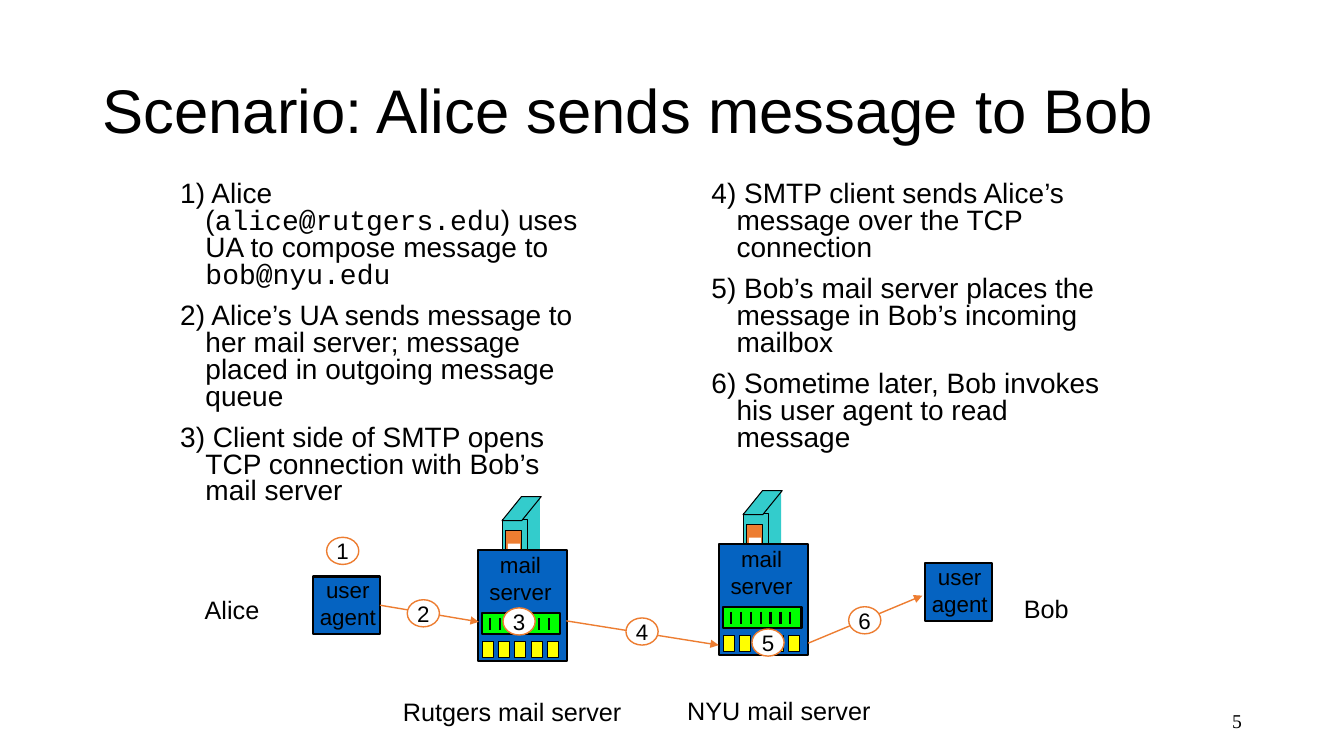
from dataclasses import dataclass

from lxml import etree
from pptx import Presentation
from pptx.dml.color import RGBColor
from pptx.enum.shapes import MSO_CONNECTOR, MSO_SHAPE
from pptx.enum.text import MSO_ANCHOR, MSO_AUTO_SIZE, PP_ALIGN
from pptx.oxml.ns import qn
from pptx.shapes.autoshape import Shape
from pptx.shapes.connector import Connector
from pptx.util import Pt

RECT, OVAL, SLANTED = MSO_SHAPE.RECTANGLE, MSO_SHAPE.OVAL, MSO_SHAPE.PARALLELOGRAM
STRAIGHT = MSO_CONNECTOR.STRAIGHT
LEFT, CENTER, RIGHT = PP_ALIGN.LEFT, PP_ALIGN.CENTER, PP_ALIGN.RIGHT
TOP, MIDDLE = MSO_ANCHOR.TOP, MSO_ANCHOR.MIDDLE
GROW = MSO_AUTO_SIZE.SHAPE_TO_FIT_TEXT

BLACK = RGBColor(0x00, 0x00, 0x00)
WHITE = RGBColor(0xFF, 0xFF, 0xFF)
BLUE = RGBColor(0x05, 0x63, 0xC1)
TEAL = RGBColor(0x33, 0xCC, 0xCC)
ORANGE = RGBColor(0xED, 0x7D, 0x31)
GREEN = RGBColor(0x00, 0xFF, 0x00)
YELLOW = RGBColor(0xFF, 0xFF, 0x00)

SANS, MONO, SERIF = "Arial", "Courier New", "Times New Roman"
STEP_FORMAT = {"line_spacing": 0.8}
HANGING = {"marL": Pt(18), "indent": Pt(-18)}


@dataclass
class Box:
    x: float
    y: float
    w: float
    h: float

    def lengths(self) -> tuple:
        return Pt(self.x), Pt(self.y), Pt(self.w), Pt(self.h)


@dataclass
class Part:
    """A filled piece of a mail server, placed from the server's corner."""
    box: Box
    fill: RGBColor
    line: float = 0
    kind: int = RECT


@dataclass
class Label:
    text: str
    box: Box
    align: int = LEFT
    size: float = 18
    font: str = SANS
    anchor: int = TOP


TOWER = [
    Part(Box(31.5, -38.4, 13, 56), TEAL),
    Part(Box(17.4, -22.2, 18, 56), TEAL, 0.75),
    Part(Box(17.4, -38.4, 28, 17.2), TEAL, 0.75, SLANTED),
    Part(Box(19.6, -14.4, 11.5, 32.4), ORANGE, 0.75),
    Part(Box(21.6, -4.8, 8.6, 11.5), WHITE),
    Part(Box(0, 0, 64, 79.2), BLUE, 1.5),
]
QUEUE = Part(Box(2.9, 44.6, 56.2, 15), GREEN, 1.5)
MAILBOXES = [Part(Box(3.6 + 11.5 * i, 65.4, 7.9, 11.5), YELLOW, 0.75) for i in range(5)]

SERVERS = [(341.2, 393.1), (513.4, 388.8)]
AGENTS = [(223.9, 411.8), (661, 402.5)]
ARROWS = [
    (272.2, 432.7, 342, 444.2),
    (404.6, 443.5, 513.4, 460.8),
    (577.4, 459.4, 658.8, 425.5),
]
MARKERS = [(233.3, 383.8), (290.9, 428.4), (359.3, 434.2),
           (447.1, 441.4), (537.1, 449.3), (606.2, 433.4)]

LABELS = [
    Label("Alice", Box(38.9, 421.2, 153.4, 28.8), RIGHT),
    Label("Bob", Box(724.3, 420.5, 153.4, 28.8)),
    Label("Rutgers mail server", Box(280.8, 493.9, 172.8, 28.8)),
    Label("NYU mail server", Box(483.8, 493.2, 172.8, 28.8)),
    Label("5", Box(678.2, 500.4, 216, 28.8), RIGHT, 14, SERIF, MIDDLE),
]

# Each step is a list of (text, font) runs.
COLUMNS = [
    (Box(121.7, 126.7, 300.2, 253.4), [
        [("1) Alice (", SANS), ("alice@rutgers.edu", MONO),
         (") uses UA to compose message to ", SANS), ("bob@nyu.edu", MONO)],
        [("2) Alice’s UA sends message to her mail server; message placed in "
          "outgoing message queue", SANS)],
        [("3) Client side of SMTP opens TCP connection with Bob’s mail server", SANS)],
    ]),
    (Box(501.1, 126.7, 300.2, 209.5), [
        [("4) SMTP client sends Alice’s message over the TCP connection", SANS)],
        [("5) Bob’s mail server places the message in Bob’s incoming mailbox", SANS)],
        [("6) Sometime later, Bob invokes his user agent to read message", SANS)],
    ]),
]


def add_run(p, text: str, size: float, font: str = SANS) -> None:
    r = p.add_run()
    r.text = text
    for name, value in {"size": Pt(size), "name": font}.items():
        setattr(r.font, name, value)
    r.font.color.rgb = BLACK


def fill_text(sp: Shape, lines: list[str], size: float, align: int,
              font: str = SANS, **frame) -> None:
    tf = sp.text_frame
    for name, value in frame.items():
        setattr(tf, name, value)
    for i, line in enumerate(lines):
        p = tf.add_paragraph() if i else tf.paragraphs[0]
        p.alignment = align
        add_run(p, line, size, font)


def add_part(shapes, part: Part, x: float = 0, y: float = 0,
             line_color: RGBColor = BLACK) -> Shape:
    b = part.box
    sp = shapes.add_shape(part.kind, *Box(x + b.x, y + b.y, b.w, b.h).lengths())
    sp.shadow.inherit = False
    sp.fill.solid()
    sp.fill.fore_color.rgb = part.fill
    if part.line:
        sp.line.color.rgb = line_color
        sp.line.width = Pt(part.line)
    else:
        sp.line.fill.background()
    return sp


def add_line(shapes, ends: tuple, color: RGBColor, width: float) -> Connector:
    line = shapes.add_connector(STRAIGHT, *(Pt(v) for v in ends))
    line.line.color.rgb = color
    line.line.width = Pt(width)
    etree.SubElement(line._element.spPr, qn("a:effectLst"))
    return line


def add_caption(shapes, lines: list[str], box: Box) -> None:
    sp = shapes.add_textbox(*box.lengths())
    fill_text(sp, lines, 16, CENTER, word_wrap=False, auto_size=GROW)


def add_server(shapes, x: float, y: float) -> None:
    group = shapes.add_group_shape().shapes
    for part in TOWER:
        sp = add_part(group, part, x, y)
        if part.kind == SLANTED:
            sp.adjustments[0] = 0.81
    add_caption(group, ["mail", "server"], Box(x + 0.7, y - 2.9, 59.8, 46))
    add_part(group, QUEUE, x, y)
    for i in range(7):
        tick = x + 8.6 + 7.1 * i
        add_line(group, (tick, y + 48.2, tick, y + 56.9), BLACK, 1.5)
    for mailbox in MAILBOXES:
        add_part(group, mailbox, x, y)


def add_agent(shapes, x: float, y: float) -> Shape:
    group = shapes.add_group_shape().shapes
    sp = add_part(group, Part(Box(x, y, 47.5, 41), BLUE, 1.5))
    add_caption(group, ["user", "agent"], Box(x - 3.6, y - 3.6, 56.2, 46))
    return sp


def add_steps(shapes, box: Box, steps: list) -> None:
    tf = shapes.add_textbox(*box.lengths()).text_frame
    tf.word_wrap = True
    for i, step in enumerate(steps):
        p = tf.add_paragraph() if i else tf.paragraphs[0]
        for name, value in HANGING.items():
            p._p.get_or_add_pPr().set(name, str(value))
        for name, value in STEP_FORMAT.items():
            setattr(p, name, value)
        p.space_before = Pt(10 if i else 0)
        for text, font in step:
            add_run(p, text, 20, font)


def main() -> None:
    prs = Presentation()
    prs.slide_width, prs.slide_height = Pt(960), Pt(540)
    s = prs.slides.add_slide(prs.slide_layouts[5])
    shapes = s.shapes

    title = shapes.title
    title.left, title.top, title.width, title.height = Box(66, 28.8, 828, 104.4).lengths()
    fill_text(title, ["Scenario: Alice sends message to Bob"], 44, LEFT,
              vertical_anchor=MIDDLE)
    title.text_frame.paragraphs[0].line_spacing = 0.9

    for box, steps in COLUMNS:
        add_steps(shapes, box, steps)
    agents = [add_agent(shapes, *corner) for corner in AGENTS]
    for corner in SERVERS:
        add_server(shapes, *corner)

    arrows = [add_line(shapes, ends, ORANGE, 1) for ends in ARROWS]
    for arrow in arrows:
        etree.SubElement(arrow.line._get_or_add_ln(), qn("a:tailEnd"), type="triangle")
    arrows[0].begin_connect(agents[0], 3)

    for number, (x, y) in enumerate(MARKERS, 1):
        sp = add_part(shapes, Part(Box(x, y, 23, 19.4), WHITE, 1, OVAL), line_color=ORANGE)
        fill_text(sp, [str(number)], 16, CENTER, word_wrap=False, vertical_anchor=MIDDLE)
    for label in LABELS:
        sp = shapes.add_textbox(*label.box.lengths())
        fill_text(sp, [label.text], label.size, label.align, label.font,
                  word_wrap=True, vertical_anchor=label.anchor)
    prs.save("out.pptx")


if __name__ == "__main__":
    main()
